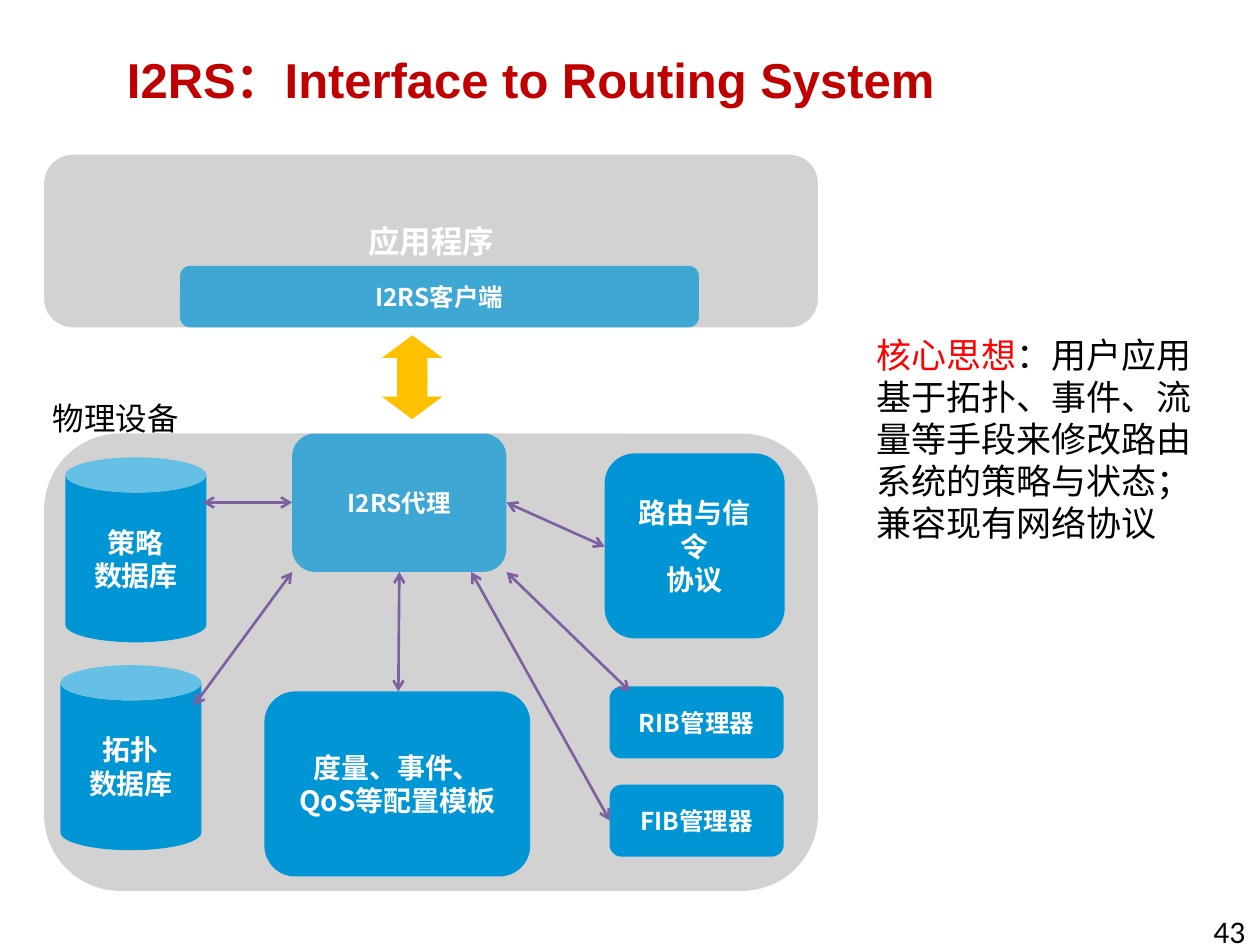
from dataclasses import dataclass

from lxml import etree
from pptx import Presentation
from pptx import util as u
from pptx.dml import color
from pptx.enum import shapes, text
from pptx.oxml import ns


@dataclass(frozen=True)
class Theme:
    """Colours, fonts and type sizes of the page."""
    title: str = "C00000"
    accent: str = "FF0000"
    ink: str = "000000"
    light: str = "FFFFFF"
    panel: str = "BFBFBF"
    block: str = "0096D6"
    arrow: str = "FFC000"
    link: str = "7D60A0"
    cjk: str = "Noto Sans CJK SC"
    latin: str = "Arial"
    number: str = "Calibri"
    title_size: int = 28
    idea_size: int = 20
    label_size: int = 18
    block_size: int = 16
    small_size: int = 14
    link_width: float = 1.5
    glass: int = 70


THEME = Theme()
KIND = shapes.MSO_SHAPE


def rgb(value):
    """Turn a hex string into a colour."""
    return color.RGBColor.from_string(value)


def add_span(para, words, size=THEME.block_size, ink=THEME.ink, font=THEME.cjk, bold=False):
    """Append a formatted run to a paragraph."""
    span = para.add_run()
    span.text = words
    span.font.size, span.font.bold, span.font.name = u.Pt(size), bold, font
    span.font.color.rgb = rgb(ink)
    east = etree.SubElement(span.font._element, ns.qn("a:ea"))
    east.set("typeface", THEME.cjk)


def add_block(page, kind, place, fill, words="", size=THEME.block_size, alpha=None, turn=0):
    """Add a filled shape with centred bold text, one paragraph per line."""
    box = page.shapes.add_shape(kind, *map(u.Cm, place))
    box.shadow.inherit = False
    box.rotation = turn
    box.fill.solid()
    box.fill.fore_color.rgb = rgb(fill)
    box.line.fill.background()
    if alpha:
        tint = box.fill._xPr.find(".//" + ns.qn("a:srgbClr"))
        etree.SubElement(tint, ns.qn("a:alpha")).set("val", str(alpha * 1000))
    frame = box.text_frame
    frame.vertical_anchor = text.MSO_ANCHOR.MIDDLE
    for index, line in enumerate(words.splitlines()):
        para = frame.add_paragraph() if index else frame.paragraphs[0]
        para.alignment = text.PP_ALIGN.CENTER
        add_span(para, line, size, THEME.light, bold=True)


def add_label(page, place, spans, wrap=False, grow=True, centred=False):
    """Add a text box holding one paragraph of (words, format) spans."""
    box = page.shapes.add_textbox(*map(u.Cm, place))
    frame = box.text_frame
    frame.word_wrap = wrap
    if grow:
        frame.auto_size = text.MSO_AUTO_SIZE.SHAPE_TO_FIT_TEXT
    para = frame.paragraphs[0]
    if centred:
        frame.vertical_anchor = text.MSO_ANCHOR.MIDDLE
        para.alignment = text.PP_ALIGN.CENTER
    for words, style in spans:
        add_span(para, words, **style)


def add_link(page, start, end):
    """Add a line with an open arrowhead at both ends."""
    link = page.shapes.add_connector(shapes.MSO_CONNECTOR.STRAIGHT, *map(u.Cm, start + end))
    link.line.color.rgb = rgb(THEME.link)
    link.line.width = u.Pt(THEME.link_width)
    for end_name in ("a:headEnd", "a:tailEnd"):
        etree.SubElement(link.line._ln, ns.qn(end_name)).set("type", "arrow")
    etree.SubElement(link._element.spPr, ns.qn("a:effectLst"))


def add_diagram(page):
    """Draw the panels, the blocks and the links between them."""
    rounded, small, glass = KIND.ROUNDED_RECTANGLE, THEME.small_size, THEME.glass
    add_block(page, rounded, (0.89, 8.74, 15.6, 9.22), THEME.panel, alpha=glass)
    add_block(page, rounded, (0.89, 3.12, 15.6, 3.48), THEME.panel, "应用程序",
              THEME.label_size, glass)
    add_block(page, rounded, (3.63, 5.36, 10.46, 1.24), THEME.block, "I2RS客户端", small, glass)
    add_block(page, rounded, (5.89, 8.74, 4.32, 2.79), THEME.block, "I2RS代理", small, glass)
    for top, turn in ((7.54, 0), (6.76, 180)):
        add_block(page, KIND.DOWN_ARROW, (7.7, top, 1.22, 0.91), THEME.arrow, turn=turn)
    for left, top, name in ((1.32, 9.22, "策略"), (1.22, 13.41, "拓扑")):
        add_block(page, KIND.CAN, (left, top, 2.84, 3.73), THEME.block, f"{name}\n数据库")
    add_block(page, rounded, (12.19, 9.14, 3.63, 3.73), THEME.block, "路由与信令\n协议")
    add_block(page, rounded, (5.33, 13.94, 5.36, 3.73), THEME.block, "度量、事件、QoS等配置模板")
    for top, name in ((13.84, "RIB"), (15.82, "FIB")):
        add_block(page, rounded, (12.29, top, 3.51, 1.45), THEME.block, f"{name}管理器", small)
    for start, end in (
        ((5.89, 10.13), (4.09, 10.13)),
        ((5.89, 11.53), (3.91, 14.22)),
        ((8.05, 11.53), (8.03, 13.94)),
        ((10.21, 10.13), (12.19, 11.02)),
        ((10.21, 11.53), (12.7, 13.94)),
        ((9.5, 11.53), (12.29, 16.54)),
    ):
        add_link(page, start, end)


def add_texts(page):
    """Write the title, the key idea, the device label and the page number."""
    idea, label = {"size": THEME.idea_size}, {"size": THEME.label_size}
    title = {"size": THEME.title_size, "ink": THEME.title, "font": THEME.latin, "bold": True}
    add_label(page, (0.58, 0, 20.24, 3.18), [("I2RS：Interface to Routing System", title)],
              wrap=True, grow=False, centred=True)
    add_label(page, (17.42, 6.6, 7.19, 4.52), [
        ("核心思想", {**idea, "ink": THEME.accent}),
        ("：用户应用基于拓扑、事件、流量等手段来修改路由系统的策略与状态；兼容现有网络协议", idea),
    ], wrap=True)
    add_label(page, (0.81, 7.92, 3.07, 1.02), [("物理设备", label)])
    add_label(page, (24.21, 18.26, 1.27, 1.02), [("43", {**label, "font": THEME.number})])


def main():
    """Build the deck and save it."""
    deck = Presentation()
    deck.slide_width, deck.slide_height = u.Cm(25.4), u.Cm(19.05)
    page = deck.slides.add_slide(deck.slide_layouts[6])
    add_diagram(page)
    add_texts(page)
    deck.save("out.pptx")


if __name__ == "__main__":
    main()
